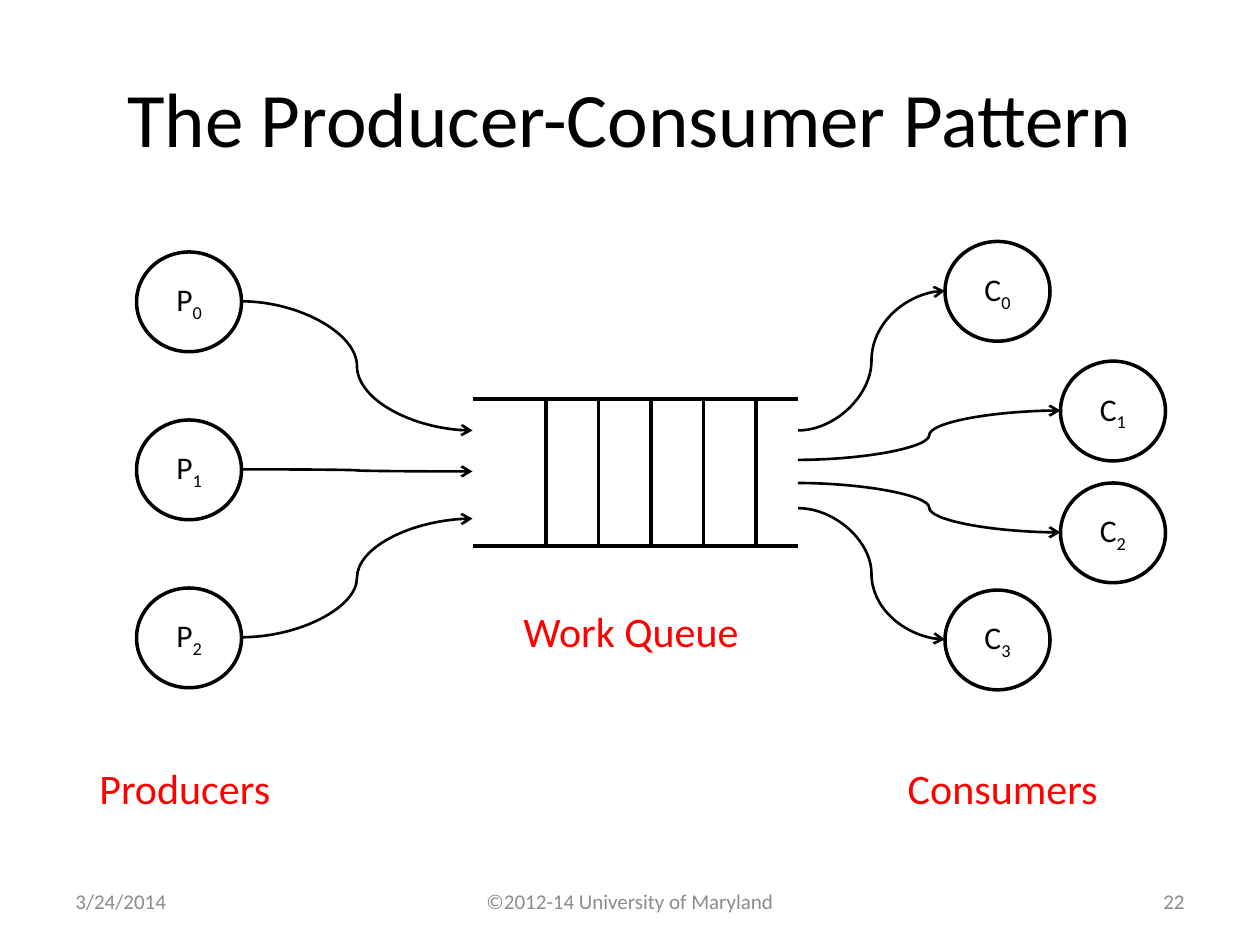
from lxml import etree
from pptx import Presentation
from pptx.dml.color import RGBColor
from pptx.enum.shapes import MSO_CONNECTOR, MSO_SHAPE
from pptx.enum.text import MSO_ANCHOR, PP_ALIGN
from pptx.oxml.ns import qn
from pptx.util import Pt

PX = 7620
FONT = "Calibri"
BLACK = RGBColor(0x00, 0x00, 0x00)
RED = RGBColor(0xFF, 0x00, 0x00)
GREY = RGBColor(0x8C, 0x8C, 0x8C)
LEFT, CENTER, RIGHT = PP_ALIGN.LEFT, PP_ALIGN.CENTER, PP_ALIGN.RIGHT
TOP, MIDDLE = MSO_ANCHOR.TOP, MSO_ANCHOR.MIDDLE
STRAIGHT, CURVE = MSO_CONNECTOR.STRAIGHT, MSO_CONNECTOR.CURVE
OVAL = MSO_SHAPE.OVAL
NODE_W, NODE_H = 100, 95


def emu(*lengths):
    return [n * PX for n in lengths]


def set_font(p, size, color, align):
    p.alignment = align
    p.font.name = FONT
    p.font.size = Pt(size)
    p.font.color.rgb = color


def add_text(s, box, text, size, color, align=CENTER, anchor=MIDDLE, wrap=True):
    tf = s.shapes.add_textbox(*emu(*box)).text_frame
    tf.word_wrap = wrap
    tf.vertical_anchor = anchor
    p = tf.paragraphs[0]
    p.text = text
    set_font(p, size, color, align)


def add_label(s, box, text):
    add_text(s, box, text, 24, RED, anchor=TOP, wrap=False)


def add_line(s, kind, start, end, width):
    line = s.shapes.add_connector(kind, *emu(*start, *end))
    line.line.color.rgb = BLACK
    line.line.width = Pt(width)
    etree.SubElement(line._element.spPr, qn("a:effectLst"))
    return line


def add_flow(s, start, end):
    arrow = add_line(s, CURVE, start, end, 1.5)
    etree.SubElement(arrow.line._get_or_add_ln(), qn("a:tailEnd"), type="arrow")


def add_node(s, x, y, letter, index):
    sp = s.shapes.add_shape(OVAL, *emu(x, y, NODE_W, NODE_H))
    sp.shadow.inherit = False
    sp.fill.background()
    sp.line.color.rgb = BLACK
    sp.line.width = Pt(2)
    tf = sp.text_frame
    tf.vertical_anchor = MIDDLE
    p = tf.paragraphs[0]
    set_font(p, 18, BLACK, CENTER)
    p.add_run().text = letter
    r = p.add_run()
    r.text = str(index)
    r._r.get_or_add_rPr().set("baseline", "-25000")


def add_queue(s, box):
    x, y, w, h = box
    for edge in (y, y + h):
        add_line(s, STRAIGHT, (x, edge), (x + w, edge), 2)
    for i in range(5):
        divider = x + 70 + 50 * i
        add_line(s, STRAIGHT, (divider, y + h), (divider, y), 2)
    add_label(s, (x + 35, y + 191, 232, 60), "Work Queue")


def add_producers(s, box, queue):
    x, y = box[:2]
    for i, port in enumerate((30, 69, 114)):
        top = y + 160 * i
        add_node(s, x, top, "P", i)
        add_flow(s, (x + NODE_W, top + NODE_H // 2), (queue[0], queue[1] + port))
    add_label(s, (x - 48, y + 480, 188, 60), "Producers")


def add_consumers(s, box, queue):
    x, y = box[:2]
    exit_x = queue[0] + queue[2]
    nodes = ((0, 0, 30), (110, 114, 58), (110, 230, 80), (0, 332, 104))
    for i, (dx, dy, port) in enumerate(nodes):
        add_node(s, x + dx, y + dy, "C", i)
        add_flow(s, (exit_x, queue[1] + port), (x + dx, y + dy + NODE_H // 2))
    add_label(s, (x - 48, y + 490, 206, 60), "Consumers")


def add_footer(s, box):
    x, y, w, h = box
    add_text(s, (x, y, 280, h), "3/24/2014", 12, GREY, LEFT)
    add_text(s, (x + 350, y, 380, h), "©2012-14 University of Maryland", 12, GREY)
    add_text(s, (x + w - 280, y, 280, h), "22", 12, GREY, RIGHT)


def main():
    prs = Presentation()
    prs.slide_width, prs.slide_height = emu(1200, 900)
    s = prs.slides.add_slide(prs.slide_layouts[6])
    queue = (450, 380, 310, 140)
    add_text(s, (60, 36, 1080, 150), "The Producer-Consumer Pattern", 44, BLACK)
    add_queue(s, queue)
    add_producers(s, (130, 240, 100, 415), queue)
    add_consumers(s, (900, 230, 210, 427), queue)
    add_footer(s, (60, 834, 1080, 48))
    prs.save("out.pptx")


if __name__ == "__main__":
    main()
